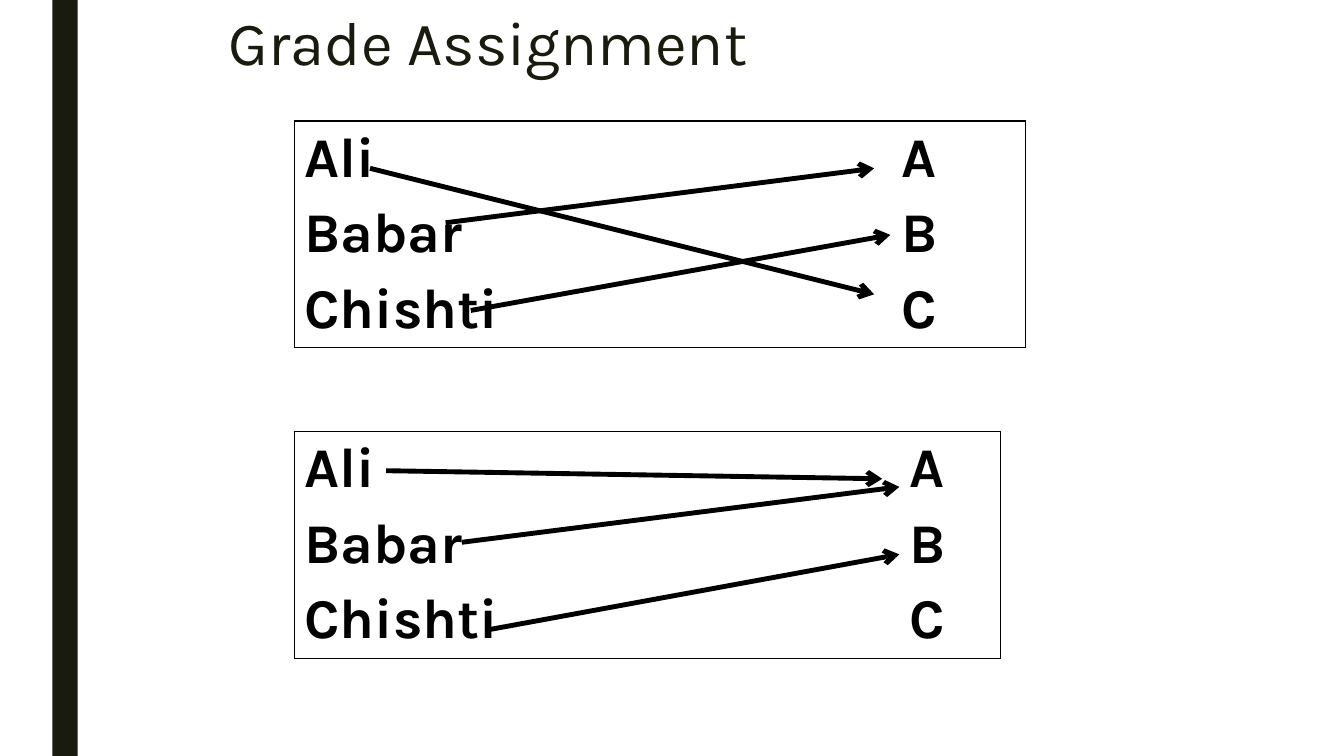
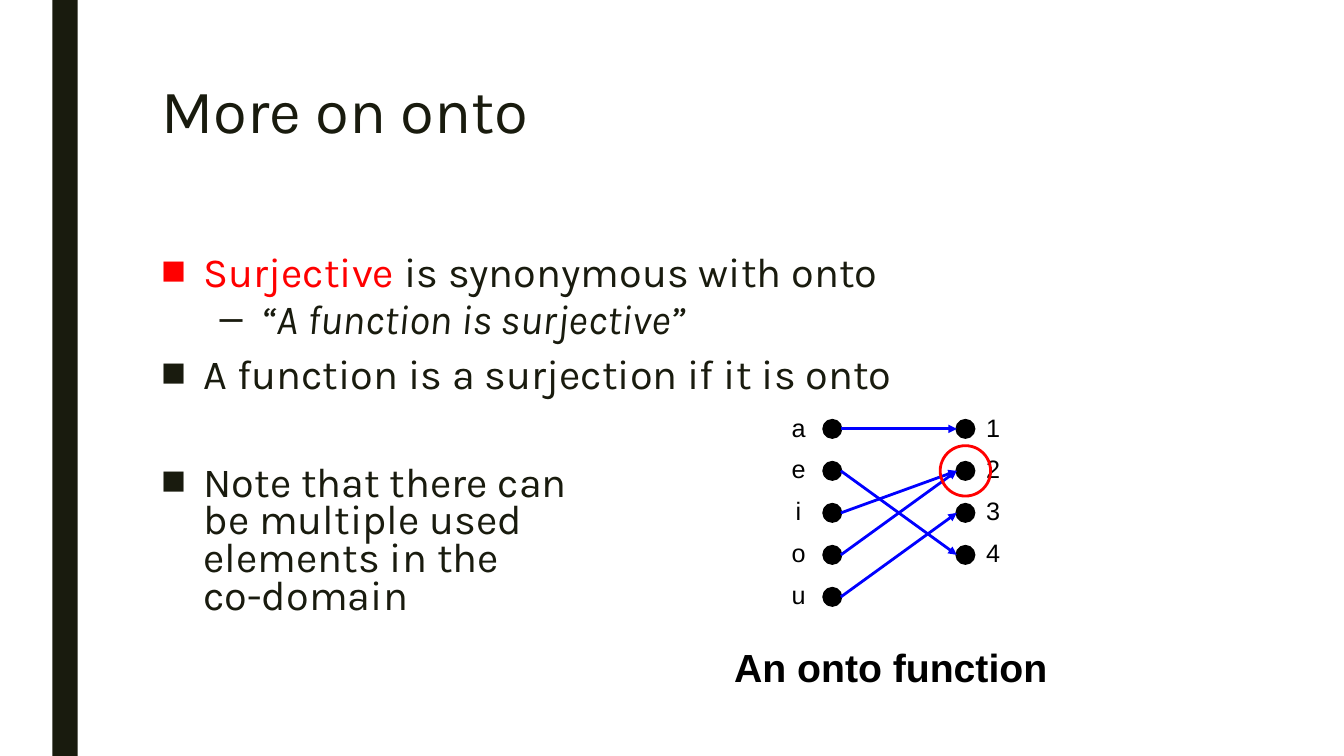
from lxml import etree
from pptx import Presentation
from pptx import util as u
from pptx.dml.color import RGBColor
from pptx.enum import shapes, text
from pptx.oxml.ns import qn

INK, BLACK, WHITE, RED, BLUE = "191B0E", "000000", "FFFFFF", "FF0000", "0000FF"
HEAD_FONT, PLAIN_FONT = "Karla", "Arial"
TITLE_ONLY = 5


def color(value):
    return RGBColor.from_string(value)


def add_span(para, words, size, shade, font=HEAD_FONT, bold=False, italic=False):
    span = para.add_run()
    span.text = words
    span.font.size = u.Pt(size)
    span.font.name = font
    span.font.color.rgb = color(shade)
    span.font.bold = bold
    span.font.italic = italic


def add_text_frame(page, left, top, width, height, margin=0):
    box = page.shapes.add_textbox(*map(u.Inches, (left, top, width, height)))
    frame = box.text_frame
    frame.word_wrap = True
    frame.margin_left = frame.margin_right = u.Inches(margin)
    return frame


def add_paragraph(frame, index):
    return frame.paragraphs[0] if index == 0 else frame.add_paragraph()


def add_shape(page, kind, left, top, width, height, fill=None, line=None):
    shape = page.shapes.add_shape(kind, *map(u.Inches, (left, top, width, height)))
    shape.shadow.inherit = False
    if fill:
        shape.fill.solid()
        shape.fill.fore_color.rgb = color(fill)
    else:
        shape.fill.background()
    if line:
        shape.line.color.rgb = color(line)
        shape.line.width = u.Pt(2)
    else:
        shape.line.fill.background()
    return shape


def add_arrow(page, start, end, shade, weight, head):
    arrow = page.shapes.add_connector(
        shapes.MSO_CONNECTOR.STRAIGHT, *map(u.Inches, (*start, *end)))
    arrow.line.color.rgb = color(shade)
    arrow.line.width = u.Pt(weight)
    etree.SubElement(arrow.line._get_or_add_ln(), qn("a:tailEnd"), type=head)
    etree.SubElement(arrow.element.spPr, qn("a:effectLst"))


def add_master_band(deck, page):
    """Put the dark side band on the master, behind everything else."""
    band = add_shape(page, shapes.MSO_SHAPE.RECTANGLE, 0.52, 0, 0.25, 7.5, INK)
    band.element.nvSpPr.cNvPr.set("id", "99")
    deck.slide_master.shapes.element.insert(2, band.element)


def add_page(deck, title, left, top, width, height):
    page = deck.slides.add_slide(deck.slide_layouts[TITLE_ONLY])
    holder = page.shapes.title
    holder.left, holder.top, holder.width, holder.height = map(
        u.Inches, (left, top, width, height))
    frame = holder.text_frame
    frame.vertical_anchor = text.MSO_ANCHOR.TOP
    frame.auto_size = text.MSO_AUTO_SIZE.NONE
    para = frame.paragraphs[0]
    para.alignment = text.PP_ALIGN.LEFT
    para.line_spacing = 0.89
    add_span(para, title, 44, INK)
    return page


def set_borders(cell, visible):
    props = cell._tc.get_or_add_tcPr()
    for side in "LRTB":
        line = etree.SubElement(props, qn(f"a:ln{side}"), w=str(u.Pt(1)))
        if side in visible:
            fill = etree.SubElement(line, qn("a:solidFill"))
            etree.SubElement(fill, qn("a:srgbClr"), val=BLACK)
        else:
            etree.SubElement(line, qn("a:noFill"))


def add_grade_table(page, left, top, widths, arrows):
    """Framed table of students and grades; arrows are relative to its corner."""
    rows = [("Ali", "", "A"), ("Babar", "", "B"), ("Chishti", "", "C")]
    row_height = 0.75
    table = page.shapes.add_table(
        len(rows), len(widths), u.Inches(left), u.Inches(top),
        u.Inches(sum(widths)), u.Inches(row_height * len(rows))).table
    table.first_row = table.horz_banding = False
    for column, width in zip(table.columns, widths):
        column.width = u.Inches(width)
    for r, row in enumerate(rows):
        table.rows[r].height = u.Inches(row_height)
        for c, words in enumerate(row):
            cell = table.cell(r, c)
            edges = {"L": c == 0, "R": c == len(widths) - 1,
                     "T": r == 0, "B": r == len(rows) - 1}
            set_borders(cell, [side for side, outer in edges.items() if outer])
            cell.fill.solid()
            cell.fill.fore_color.rgb = color(WHITE)
            if words:
                add_span(cell.text_frame.paragraphs[0], words, 40, BLACK, bold=True)
    for x1, y1, x2, y2 in arrows:
        add_arrow(page, (left + x1, top + y1), (left + x2, top + y2),
                  BLACK, 3.5, "arrow")


def set_bullet(para, symbol, indent):
    props = para._p.get_or_add_pPr()
    props.set("marL", str(u.Inches(indent)))
    props.set("indent", str(u.Inches(-0.42)))
    etree.SubElement(props, qn("a:buFont"), typeface=PLAIN_FONT)
    etree.SubElement(props, qn("a:buChar"), char=symbol)


def add_bullets(page, left, top, width, height):
    # Each item: level, space before, spans of (words, colour)
    items = [
        (0, 0, [("Surjective ", RED), ("is synonymous with onto", INK)]),
        (1, 5, [("“A function is surjective”", INK)]),
        (0, 10, [("A function is a surjection if it is onto", INK)]),
        (0, 48, [("Note that there can\nbe multiple used\n"
                  "elements in the\nco-domain", INK)]),
    ]
    frame = add_text_frame(page, left, top, width, height, 0.1)
    for index, (level, before, spans) in enumerate(items):
        para = add_paragraph(frame, index)
        para.level = level
        set_bullet(para, "–" if level else "■", 1 if level else 0.42)
        para.line_spacing = 0.76
        para.space_before, para.space_after = u.Pt(before), u.Pt(2)
        for words, shade in spans:
            for number, line in enumerate(words.split("\n")):
                if number:
                    para.add_line_break()
                add_span(para, line, 29.6, shade, italic=level == 1)


def add_labels(page, left, top, labels, pitch):
    frame = add_text_frame(page, left, top, 0.34, 2.2)
    for index, label in enumerate(labels):
        para = add_paragraph(frame, index)
        para.alignment = text.PP_ALIGN.CENTER
        para.line_spacing = u.Pt(pitch * 72)
        add_span(para, label, 18, BLACK, PLAIN_FONT)


def add_onto_diagram(page, left, top):
    """Mapping of vowels to numbers, with one target ringed and a caption."""
    pitch, dot = 5 / 12, 0.17
    domain_x, target_x, dots_y = left + 1.01, left + 2.33, top + 0.25
    # Dots and their labels
    for x, label_x, labels in ((domain_x, left + 0.59, "aeiou"),
                               (target_x, left + 2.52, "1234")):
        for row in range(len(labels)):
            add_shape(page, shapes.MSO_SHAPE.OVAL, x, dots_y + row * pitch,
                      dot, dot, BLACK, BLACK)
        add_labels(page, label_x, top, labels, pitch)
    # Arrows, from domain row to target row
    center_y = dots_y + dot / 2
    for source, target in enumerate((0, 3, 1, 1, 2)):
        add_arrow(page, (domain_x + dot, center_y + source * pitch),
                  (target_x, center_y + target * pitch), BLUE, 2, "triangle")
    # Caption
    caption = add_text_frame(page, left, top + 2.41, 3.35, 0.57).paragraphs[0]
    caption.alignment = text.PP_ALIGN.CENTER
    add_span(caption, "An onto function", 28, BLACK, PLAIN_FONT, bold=True)
    # Ring around the second target
    ring = 0.5
    add_shape(page, shapes.MSO_SHAPE.OVAL, target_x + (dot - ring) / 2,
              center_y + pitch - ring / 2, ring, ring, line=RED)


def main():
    deck = Presentation()
    deck.slide_width, deck.slide_height = u.Inches(13.33), u.Inches(7.5)

    grades = add_page(deck, "Grade Assignment", 2.17, 0.08, 9, 1.25)
    add_master_band(deck, grades)
    add_grade_table(grades, 2.92, 1.2, (2.42, 3.5, 1.33), [
        (0.75, 0.47, 5.75, 1.72), (1.5, 1.01, 5.75, 0.47), (1.75, 1.88, 5.91, 1.13)])
    add_grade_table(grades, 2.92, 4.28, (2.33, 3.67, 1), [
        (0.91, 0.39, 5.83, 0.47), (1.66, 1.1, 6, 0.55), (1.91, 1.97, 6, 1.22)])

    onto = add_page(deck, "More on onto", 1.5, 0.75, 10.5, 1.62)
    add_bullets(onto, 1.5, 2.5, 10.5, 3.92)
    add_onto_diagram(onto, 7.16, 3.92)

    deck.save("out.pptx")


if __name__ == "__main__":
    main()
